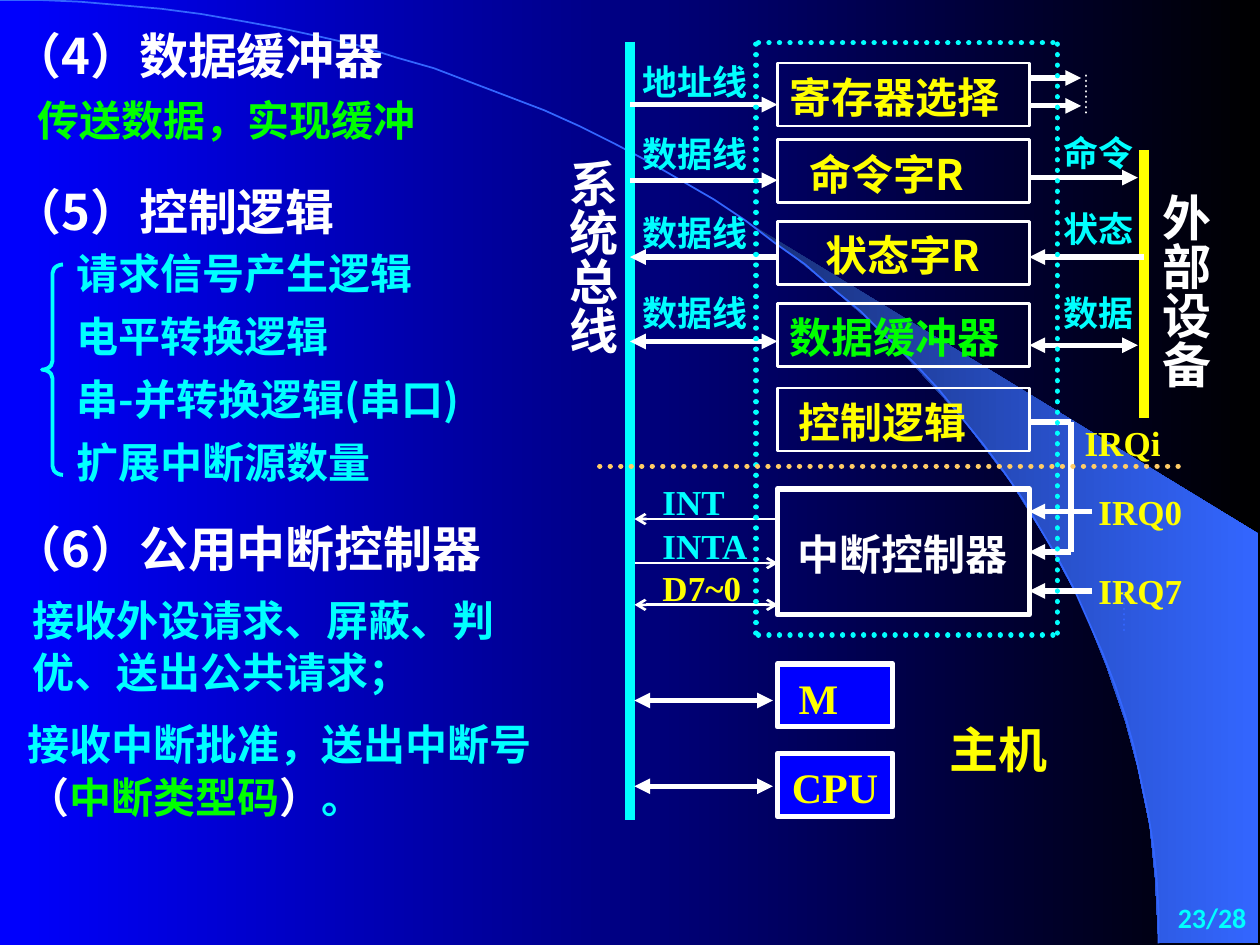
import math

from lxml import etree
from pptx import Presentation
from pptx.dml.color import RGBColor
from pptx.enum import dml, shapes, text
from pptx.oxml import ns
from pptx.util import Pt

BLUE = RGBColor(0x00, 0x00, 0xFF)
BLACK = RGBColor(0x00, 0x00, 0x00)
NAVY = RGBColor(0x18, 0x2F, 0x76)
SKY = RGBColor(0x33, 0x66, 0xFF)
WHITE = RGBColor(0xFF, 0xFF, 0xFF)
CYAN = RGBColor(0x00, 0xFF, 0xFF)
GREEN = RGBColor(0x00, 0xFF, 0x00)
YELLOW = RGBColor(0xFF, 0xFF, 0x00)
ORANGE = RGBColor(0xFF, 0xCC, 0x66)
SANS = "Noto Sans CJK SC"
SERIF = "Times New Roman"
LEFT, CENTER, RIGHT = text.PP_ALIGN.LEFT, text.PP_ALIGN.CENTER, text.PP_ALIGN.RIGHT


def write(shape, runs, size, font=SANS, align=LEFT, indent=0):
    """Fill a shape with one paragraph of (words, colour) runs."""
    frame = shape.text_frame
    frame_format = {
        "word_wrap": True, "vertical_anchor": text.MSO_ANCHOR.TOP,
        "margin_left": Pt(7.2 + indent), "margin_right": Pt(7.2),
        "margin_top": Pt(3.6), "margin_bottom": Pt(3.6),
    }
    for name, value in frame_format.items():
        setattr(frame, name, value)
    paragraph = frame.paragraphs[0]
    paragraph.alignment = align
    paragraph.line_spacing = Pt(size * 1.25)
    for words, color in runs:
        run = paragraph.add_run()
        run.text = words
        for name, value in {"name": font, "size": Pt(size), "bold": True}.items():
            setattr(run.font, name, value)
        run.font.color.rgb = color
        east_asian = etree.SubElement(run.font._element, ns.qn("a:ea"))
        east_asian.set("typeface", SANS)


def draw_line(start, end, color=WHITE, width=3, head=None, tail=None, dotted=False):
    """Draw a straight line; head and tail name the arrowheads at start and end."""
    connector = slide.shapes.add_connector(
        shapes.MSO_CONNECTOR.STRAIGHT, *(Pt(value) for value in (*start, *end)))
    connector.line.color.rgb = color
    connector.line.width = Pt(width)
    properties = connector.line._get_or_add_ln()
    if dotted:
        connector.line.dash_style = dml.MSO_LINE.ROUND_DOT
        properties.set("cap", "rnd")
    for tag, arrow in (("a:headEnd", head), ("a:tailEnd", tail)):
        if arrow:
            etree.SubElement(properties, ns.qn(tag)).set("type", arrow)
    etree.SubElement(connector._element.spPr, ns.qn("a:effectLst"))
    return connector


presentation = Presentation()
presentation.slide_width, presentation.slide_height = Pt(720), Pt(540)
slide = presentation.slides.add_slide(presentation.slide_layouts[6])

# Backdrop: gradient, bright wedge and a quarter ellipse
wedge_points = [
    (662.4, 538.6), (719.3, 539.3), (719.3, 304.6), (424.1, 124.6), (449.3, 143.3),
    (470.2, 159.8), (493.2, 180), (515.5, 201.6), (548.6, 237.6), (578.2, 276.5),
    (599, 310.3), (617.8, 344.9), (632.2, 380.2), (643, 411.8), (650.2, 438.5),
    (657.4, 472.3), (660.2, 501.1),
]
builder = slide.shapes.build_freeform(*wedge_points[0], scale=Pt(1))
builder.add_line_segments(wedge_points[1:], close=True)
wedge = builder.convert_to_shape()
wedge.shadow.inherit = False
wedge.line.fill.background()

for fill, colors in ((slide.background.fill, (BLUE, BLACK)), (wedge.fill, (NAVY, SKY))):
    fill.gradient()
    fill.gradient_angle = 0
    for stop, color, position in zip(fill.gradient_stops, colors, (0, 1)):
        stop.color.rgb = color
        stop.position = position

angles = [math.radians(degree) for degree in range(0, 91, 2)]
arc_points = [(662.4 * math.sin(angle), 539.3 * (1 - math.cos(angle))) for angle in angles]
builder = slide.shapes.build_freeform(*arc_points[0], scale=Pt(1))
builder.add_line_segments(arc_points[1:], close=False)
arc = builder.convert_to_shape()

brace = slide.shapes.add_shape(
    shapes.MSO_SHAPE.LEFT_BRACE, Pt(24), Pt(151.2), Pt(12), Pt(120.2))
brace.adjustments[0] = 0.42
for outline, color, width in ((arc, SKY, 1), (brace, CYAN, 2.25)):
    outline.shadow.inherit = False
    outline.fill.background()
    outline.line.color.rgb = color
    outline.line.width = Pt(width)

# Bus bars, arrows and wires
T = "triangle"
draw_line((360, 23.8), (360, 468.7), CYAN, 6)
draw_line((653.8, 85.7), (653.8, 239), YELLOW, 6)
for y, head, tail in ((59.8, T, None), (103, T, None), (146.9, None, T), (195.1, T, T)):
    draw_line((444.2, y), (360, y), head=head, tail=tail)
for x, y, head, tail in (
    (617.8, 44.6, T, None), (617.8, 60.5, T, None), (650.2, 101.5, T, None),
    (653.8, 146.9, None, T), (650.2, 197.3, T, T), (612, 241.2, None, None),
    (624.2, 292.3, None, T), (624.2, 337.7, None, T),
):
    draw_line((x, y), (588.2, y), head=head, tail=tail)
draw_line((612, 241.2), (612, 315.4))
irq_wire = draw_line((612, 315.4), (588.2, 315.4), tail=T)
for y, head, tail in ((296.6, None, "arrow"), (321.8, "arrow", None), (345.6, "arrow", "arrow")):
    draw_line((444.6, y), (362.6, y), width=1.5, head=head, tail=tail)
for y in (400.3, 449.3):
    draw_line((362.5, y), (441.7, y), head=T, tail=T)

# Blocks: words, colour, top, width, height, line width, font, alignment, indent
blocks = [
    ("寄存器选择", YELLOW, 36, 144, 36, 1.5, SANS, LEFT, 0),
    ("命令字R", YELLOW, 79.9, 144, 36, 1.5, SANS, LEFT, 11),
    ("状态字R", YELLOW, 126.7, 144, 36, 1.5, SANS, CENTER, 0),
    ("数据缓冲器", GREEN, 173.5, 144, 36, 1.5, SANS, LEFT, 0),
    ("控制逻辑", YELLOW, 221.8, 144, 36, 1.5, SANS, LEFT, 5),
    ("", WHITE, 279.4, 144, 72, 3, SANS, LEFT, 0),
    ("M", YELLOW, 379.4, 66, 36, 3, SERIF, LEFT, 5),
    ("CPU", YELLOW, 430.6, 66, 36, 3, SERIF, CENTER, 0),
]
for words, color, top, width, height, border, font, align, indent in blocks:
    block = slide.shapes.add_shape(
        shapes.MSO_SHAPE.RECTANGLE, Pt(444.2), Pt(top), Pt(width), Pt(height))
    block.shadow.inherit = False
    block.line.color.rgb = WHITE
    block.line.width = Pt(border)
    if font == SERIF:
        block.fill.solid()
        block.fill.fore_color.rgb = BLUE
    else:
        block.fill.background()
    if words:
        write(block, [(words, color)], 24, font, align, indent)
    else:
        irq_wire.end_connect(block, 3)

# Text: runs, left, top, width, height, size, font
labels = [
    ([("（4）数据缓冲器", WHITE)], 0, 9.4, 312, 41, 28, SANS),
    ([("传送数据，实现缓冲", GREEN)], 14.4, 49, 261, 36, 24, SANS),
    ([("（5）控制逻辑", WHITE)], 0, 98.6, 312, 41, 28, SANS),
    ([("（6）公用中断控制器", WHITE)], 0, 291.6, 336, 41, 28, SANS),
    ([("接收外设请求、屏蔽、判优、送出公共请求；", CYAN)], 11.5, 334.8, 290, 65, 24, SANS),
    ([("接收中断批准，送出中断号", CYAN), ("（", WHITE), ("中断类型码", GREEN),
      ("）", WHITE), ("。", CYAN)], 8.6, 406.1, 323, 65, 24, SANS),
    ([("中断控制器", WHITE)], 448.6, 297.4, 144, 36, 24, SANS),
    ([("主机", YELLOW)], 535.7, 406.1, 119, 41, 28, SERIF),
]
logic_items = ["请求信号产生逻辑", "电平转换逻辑", "串-并转换逻辑(串口)", "扩展中断源数量"]
for index, words in enumerate(logic_items):
    labels.append(([(words, CYAN)], 36.7, 136.8 + 36 * index, 269, 36, 24, SANS))
for words, color, left, top in (
    ("地址线", CYAN, 360, 30.2), ("数据线", CYAN, 360, 71.3),
    ("数据线", CYAN, 360, 116.6), ("数据线", CYAN, 360, 162),
    ("命令", CYAN, 600.5, 70.6), ("状态", CYAN, 600.5, 113.8), ("数据", CYAN, 600.5, 162),
    ("INT", CYAN, 371.5, 270), ("INTA", CYAN, 371.5, 295.2), ("D7~0", YELLOW, 371.5, 319),
    ("IRQi", YELLOW, 612.7, 236.2), ("IRQ0", YELLOW, 620.6, 275.8),
    ("IRQ7", YELLOW, 620.6, 321.1),
):
    labels.append(([(words, color)], left, top, 80, 32, 20, SERIF))
for runs, left, top, width, height, size, font in labels:
    label = slide.shapes.add_textbox(Pt(left), Pt(top), Pt(width), Pt(height))
    write(label, runs, size, font)

page_number = slide.shapes.add_textbox(Pt(643.7), Pt(510.5), Pt(75.6), Pt(28))
write(page_number, [("23/28", CYAN)], 16, "Calibri", RIGHT)

for words, left, top, height in (("系统总线", 312.5, 84.2, 150), ("外部设备", 651.6, 103.7, 144)):
    side_title = slide.shapes.add_textbox(Pt(left), Pt(top), Pt(47.5), Pt(height))
    write(side_title, [(words, WHITE)], 28, align=CENTER)
    side_title.text_frame._txBody.bodyPr.set("vert", "eaVert")

# Dotted lines: interface frame, host boundary and continuation marks
for start, end, color, width in (
    ((432, 25.2), (432, 365.8), CYAN, 3), ((433.4, 24.5), (604.1, 24.5), CYAN, 3),
    ((604.1, 25.2), (604.1, 362.9), CYAN, 3), ((433.4, 362.9), (604.1, 362.9), CYAN, 3),
    ((342.7, 266.4), (677.5, 266.4), ORANGE, 3),
    ((620.6, 43.2), (620.6, 67), WHITE, 1.5), ((642.2, 360), (642.2, 336.2), SKY, 1.5),
):
    draw_line(start, end, color, width, dotted=True)

presentation.save("out.pptx")
